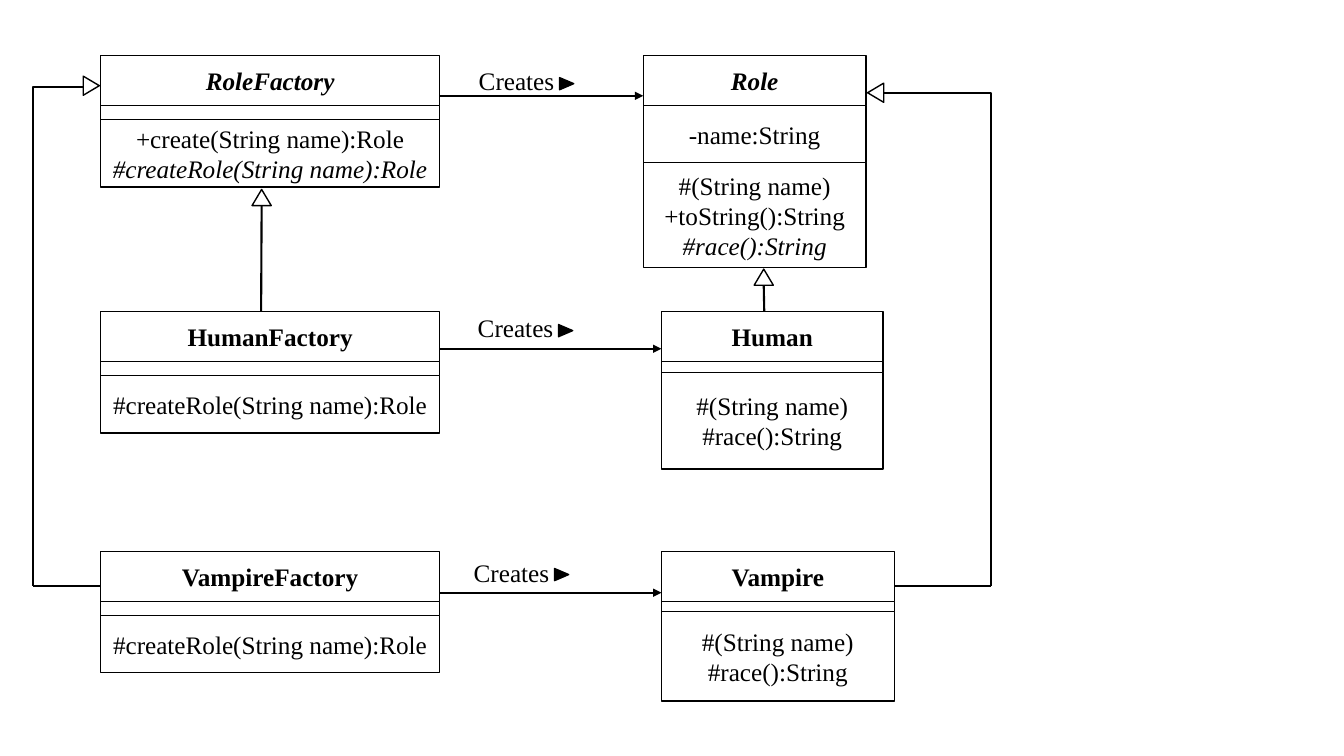
from lxml import etree
from pptx import Presentation
from pptx.dml.color import RGBColor
from pptx.enum import shapes, text
from pptx.oxml import ns
from pptx.util import Inches, Pt

BLACK = RGBColor(0x00, 0x00, 0x00)
WHITE = RGBColor(0xFF, 0xFF, 0xFF)
FONT = "Times New Roman"
HEADER_HEIGHT = 0.495
FACTORY_LEFT, FACTORY_WIDTH = 1, 3.36
TIP_WIDTH, TIP_HEIGHT = 0.19, 0.16
MARK_WIDTH, MARK_HEIGHT = 0.12, 0.14

# Class name, abstract, (left, top, width), attribute height,
# attributes, operation height, operations; a leading "/" means italic
CLASSES = [
    ("RoleFactory", True, (FACTORY_LEFT, 0.55, FACTORY_WIDTH), 0.14, [],
     0.67, ["+create(String name):Role", "/#createRole(String name):Role"]),
    ("Role", True, (6.38, 0.55, 2.21), 0.57, ["-name:String"],
     1.04, ["#(String name)", "+toString():String", "/#race():String"]),
    ("HumanFactory", False, (FACTORY_LEFT, 3.09, FACTORY_WIDTH), 0.14, [],
     0.57, ["#createRole(String name):Role"]),
    ("Human", False, (6.56, 3.09, 2.2), 0.11, [],
     0.96, ["#(String name)", "#race():String"]),
    ("VampireFactory", False, (FACTORY_LEFT, 5.47, FACTORY_WIDTH), 0.14, [],
     0.57, ["#createRole(String name):Role"]),
    ("Vampire", False, (6.56, 5.47, 2.31), 0.1, [],
     0.89, ["#(String name)", "#race():String"]),
]

# Arrow end x, arrow y, label left, label top, mark left, mark top
CREATES = [
    (6.38, 0.95, 4.65, 0.6, 5.56, 0.76),
    (6.56, 3.46, 4.64, 3.05, 5.55, 3.21),
    (6.56, 5.88, 4.6, 5.48, 5.51, 5.63),
]


def add_text(paragraph, words, bold=False, italic=False):
    run = paragraph.add_run()
    run.text = words
    run.font.name = FONT
    run.font.size = Pt(18)
    run.font.color.rgb = BLACK
    run.font.bold = bold
    run.font.italic = italic


def add_outlined(slide, kind, left, top, width, height, fill=WHITE):
    shape = slide.shapes.add_shape(
        kind, Inches(left), Inches(top), Inches(width), Inches(height))
    shape.shadow.inherit = False
    shape.fill.solid()
    shape.fill.fore_color.rgb = fill
    shape.line.color.rgb = BLACK
    shape.line.width = Pt(1)
    return shape


def add_compartment(slide, left, top, width, height, lines, bold=False):
    shape = add_outlined(
        slide, shapes.MSO_SHAPE.RECTANGLE, left, top, width, height)
    frame = shape.text_frame
    frame.word_wrap = True
    frame.vertical_anchor = text.MSO_ANCHOR.MIDDLE
    for index, line in enumerate(lines):
        paragraph = frame.add_paragraph() if index else frame.paragraphs[0]
        paragraph.alignment = text.PP_ALIGN.CENTER
        add_text(paragraph, line.removeprefix("/"), bold, line.startswith("/"))


def add_class(slide, name, abstract, box, attribute_height, attributes,
              operation_height, operations):
    """Stack the name, attribute and operation compartments of a class."""
    left, top, width = box
    title = "/" + name if abstract else name
    for height, lines, bold in [(HEADER_HEIGHT, [title], True),
                                (attribute_height, attributes, False),
                                (operation_height, operations, False)]:
        add_compartment(slide, left, top, width, height, lines, bold)
        top += height


def add_line(slide, start, end, bent=False, arrow=False):
    kind = shapes.MSO_CONNECTOR.ELBOW if bent else shapes.MSO_CONNECTOR.STRAIGHT
    line = slide.shapes.add_connector(
        kind, *(Inches(value) for value in (*start, *end)))
    line.line.color.rgb = BLACK
    line.line.width = Pt(1.5)
    properties = line._element.spPr
    if bent:  # one corner: across first, then down
        properties.find(ns.qn("a:prstGeom")).set("prst", "bentConnector2")
    if arrow:
        etree.SubElement(properties.find(ns.qn("a:ln")),
                         ns.qn("a:tailEnd"), type="triangle")
    etree.SubElement(properties, ns.qn("a:effectLst"))


def add_triangle(slide, left, top, width, height, rotation=0, fill=WHITE):
    triangle = add_outlined(slide, shapes.MSO_SHAPE.ISOSCELES_TRIANGLE,
                            left, top, width, height, fill)
    triangle.rotation = rotation


def add_creates(slide, arrow_end, arrow_y, left, top, mark_left, mark_top):
    """Draw the arrow from a factory to its product, with its label."""
    add_line(slide, (FACTORY_LEFT + FACTORY_WIDTH, arrow_y),
             (arrow_end, arrow_y), arrow=True)
    label = slide.shapes.add_textbox(
        Inches(left), Inches(top), Inches(1.13), Inches(0.4))
    label.text_frame.word_wrap = True
    add_text(label.text_frame.paragraphs[0], "Creates")
    add_triangle(slide, mark_left, mark_top, MARK_WIDTH, MARK_HEIGHT, 90, BLACK)


def add_upward_inheritance(slide, tip_left, tip_top, start):
    add_line(slide, start, (tip_left + TIP_WIDTH / 2, tip_top + TIP_HEIGHT))
    add_triangle(slide, tip_left, tip_top, TIP_WIDTH, TIP_HEIGHT)


def add_side_inheritance(slide, tip_left, tip_top, rotation, start, corner_x,
                         child):
    """Run a line around the side of the diagram, from parent to child."""
    add_triangle(slide, tip_left, tip_top, TIP_WIDTH, TIP_HEIGHT, rotation)
    add_line(slide, start, (corner_x, child[1]), bent=True)
    add_line(slide, (corner_x, child[1]), child)


def build_class_diagram(slide):
    for entry in CLASSES:
        add_class(slide, *entry)
    for entry in CREATES:
        add_creates(slide, *entry)
    add_upward_inheritance(slide, 2.5, 1.88, (2.59, 3.09))
    add_upward_inheritance(slide, 7.48, 2.67, (7.58, 3.09))
    add_side_inheritance(slide, 0.81, 0.77, 90, (0.83, 0.86), 0.33, (1, 5.81))
    add_side_inheritance(slide, 8.59, 0.84, 270, (8.77, 0.92), 9.83,
                         (8.87, 5.81))


def main():
    presentation = Presentation()
    presentation.slide_width = Inches(13.33)
    presentation.slide_height = Inches(7.5)
    slide = presentation.slides.add_slide(presentation.slide_layouts[6])
    build_class_diagram(slide)
    presentation.save("out.pptx")


if __name__ == "__main__":
    main()
